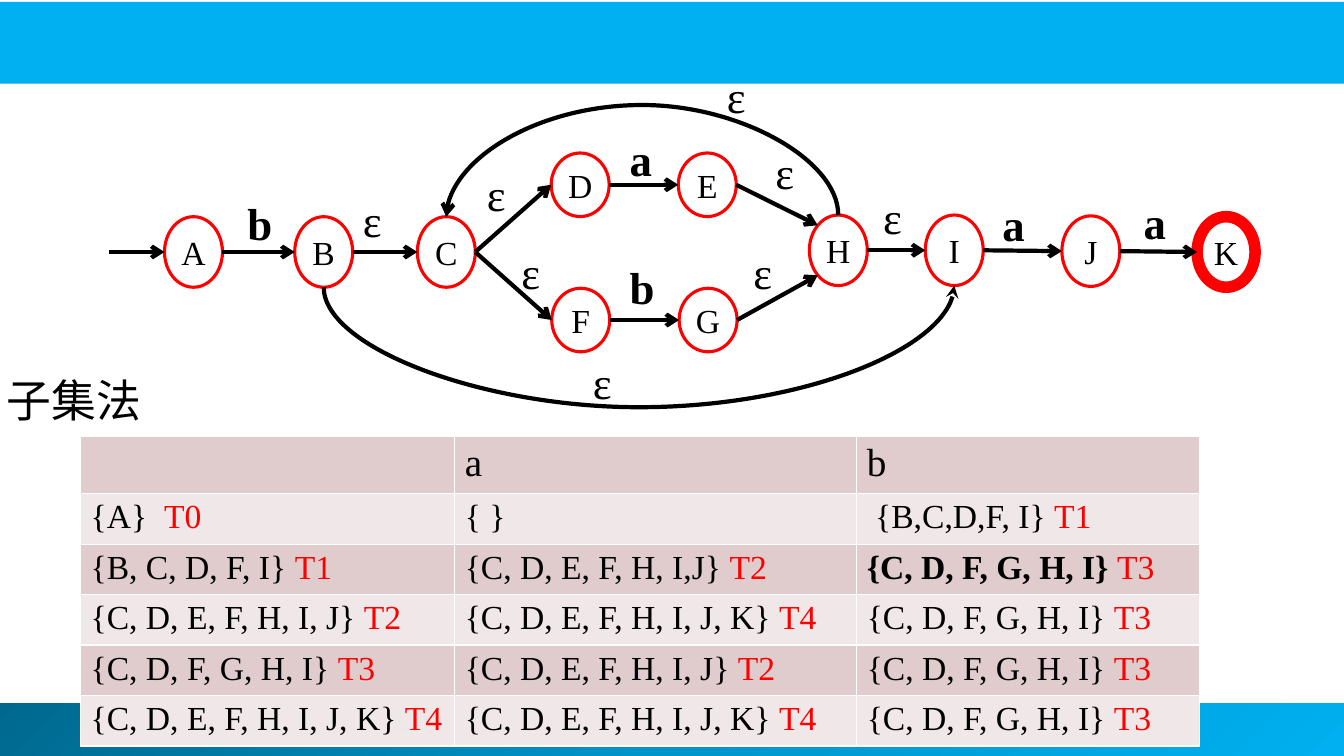
from copy import deepcopy

from lxml import etree
from pptx import Presentation
from pptx.dml.color import RGBColor
from pptx.enum.shapes import MSO_CONNECTOR as Connector, MSO_SHAPE as Shape
from pptx.enum.text import MSO_ANCHOR as Anchor, PP_ALIGN as Align
from pptx.oxml.ns import qn
from pptx.util import Pt

SERIF = "Times New Roman"
BLACK, RED, WHITE, SKY = "000000", "FF0000", "FFFFFF", "00B0F0"
FOOTER_STOPS = [(0, "00688E"), (0.5, "0094CA"), (1, SKY)]
BANDS = ["E0CCCD", "F0E7E8"]

# state: centre x, centre y, height
STATE_WIDTH = 41.4
STATES = {
    "A": (138.2, 180, 50.4), "B": (231.2, 180, 50.4), "C": (318.8, 180, 50.4),
    "D": (414.4, 132, 45.4), "E": (505.2, 132, 45.4),
    "F": (414.8, 228.6, 45.4), "G": (505.8, 228.6, 45.4),
    "H": (598.8, 178.8, 50.4), "I": (681.6, 178.8, 50.4),
    "J": (779.2, 179.4, 50.4), "K": (875.8, 180, 50.4),
}
FINAL = "K"

# from state, to state, side of arrival
EDGES = [
    ("A", "B", "left"), ("B", "C", "left"), ("C", "D", "left"), ("C", "F", "left"),
    ("D", "E", "left"), ("F", "G", "left"), ("E", "H", "top left"),
    ("G", "H", "bottom left"), ("H", "I", "left"), ("I", "J", "left"), ("J", "K", "left"),
]
# from state, to state, side, bulge, rotation, arrowhead
ARCS = [
    ("H", "C", "top", 79.2, 270, "arrow"),
    ("B", "I", "bottom", 86.4, 90, "stealth"),
]
# symbol, centre x, top
LABELS = [
    ("b", 184.6, 136), ("ε", 266, 134), ("ε", 354.6, 115.2), ("ε", 379.2, 171.4),
    ("a", 457.6, 90.8), ("b", 457.6, 182.2), ("ε", 560.6, 100), ("ε", 544.8, 171.4),
    ("ε", 637.6, 131.8), ("a", 724, 136.8), ("a", 824.8, 135.4),
    ("ε", 526, 45.4), ("ε", 430.2, 249.8),
]
METHOD = "子集法"

HEADER = ("", "a", "b")
SUBSETS = [
    ("{A}  T0", "{ }", " {B,C,D,F, I} T1"),
    ("{B, C, D, F, I} T1", "{C, D, E, F, H, I,J} T2", "{C, D, F, G, H, I} T3"),
    ("{C, D, E, F, H, I, J} T2", "{C, D, E, F, H, I, J, K} T4", "{C, D, F, G, H, I} T3"),
    ("{C, D, F, G, H, I} T3", "{C, D, E, F, H, I, J} T2", "{C, D, F, G, H, I} T3"),
    ("{C, D, E, F, H, I, J, K} T4", "{C, D, E, F, H, I, J, K} T4", "{C, D, F, G, H, I} T3"),
]
BOLD_CELL = (2, 2)
COLUMN_WIDTHS = [267.2, 287.2, 244.8]
ROW_HEIGHTS = [36.6] + [32.4] * 4 + [32.8]

SIDES = {
    "left": (-1, 0), "right": (1, 0), "top": (0, -1), "bottom": (0, 1),
    "top left": (-0.71, -0.71), "bottom left": (-0.71, 0.71),
}


def color(hex_code):
    return RGBColor.from_string(hex_code)


def style(run, size, hue=BLACK, bold=False, font=SERIF):
    run.font.size, run.font.bold, run.font.name = Pt(size), bold, font
    run.font.color.rgb = color(hue)


def add_preset(preset, left, top, width, height):
    shape = slide.shapes.add_shape(preset, Pt(left), Pt(top), Pt(width), Pt(height))
    shape.shadow.inherit = False
    return shape


def add_text(words, left, top, width, size, bold=False, font=SERIF, align=Align.LEFT):
    box = slide.shapes.add_textbox(Pt(left), Pt(top), Pt(width), Pt(46))
    box.text_frame.text = words
    box.text_frame.word_wrap = False
    line = box.text_frame.paragraphs[0]
    line.alignment = align
    style(line.runs[0], size, bold=bold, font=font)
    return line.runs[0]


def touch(state, side):
    """Point on the rim of a state."""
    x, y, height = STATES[state]
    across, down = SIDES[side]
    return x + across * STATE_WIDTH / 2, y + down * height / 2


def add_arrow(start, end, head="arrow", kind=Connector.STRAIGHT):
    arrow = slide.shapes.add_connector(kind, *(Pt(v) for v in start + end))
    arrow.line.width = Pt(3)
    arrow.line.color.rgb = color(BLACK)
    tail = etree.SubElement(arrow.line._get_or_add_ln(), qn("a:tailEnd"))
    tail.set("type", head)
    etree.SubElement(arrow._element.spPr, qn("a:effectLst"))
    return arrow


def add_arc(start, end, bulge, rotation, head):
    """Curved connector turned on its side, so that it bows up or down."""
    (x1, y1), (x2, y2) = start, end
    width, height = abs(y2 - y1), abs(x2 - x1)
    arc = add_arrow(start, end, head, Connector.CURVE)
    arc.left, arc.top = Pt((x1 + x2 - width) / 2), Pt((y1 + y2 - height) / 2)
    arc.width, arc.height = Pt(width), Pt(height)
    properties = arc._element.spPr
    frame = properties.find(qn("a:xfrm"))
    for key, value in (("rot", rotation * 60000), ("flipH", 1), ("flipV", 1)):
        frame.set(key, str(value))
    guides = properties.find(qn("a:prstGeom")).find(qn("a:avLst"))
    guide = etree.SubElement(guides, qn("a:gd"))
    guide.set("name", "adj1")
    guide.set("fmla", f"val {round(-bulge / width * 100000)}")


def add_borders(cell):
    for side in ("lnL", "lnR", "lnT", "lnB"):
        border = etree.SubElement(cell._tc.get_or_add_tcPr(), qn(f"a:{side}"), w=str(Pt(1)))
        paint = etree.SubElement(border, qn("a:solidFill"))
        etree.SubElement(paint, qn("a:srgbClr"), val=WHITE)


def add_subset_table():
    table = slide.shapes.add_table(
        len(ROW_HEIGHTS), len(COLUMN_WIDTHS), Pt(57.6), Pt(311.8),
        Pt(sum(COLUMN_WIDTHS)), Pt(sum(ROW_HEIGHTS))).table
    table.first_row = table.horz_banding = False
    for column, width in zip(table.columns, COLUMN_WIDTHS):
        column.width = Pt(width)
    for r, (height, entries) in enumerate(zip(ROW_HEIGHTS, [HEADER] + SUBSETS)):
        table.rows[r].height = Pt(height)
        for c, entry in enumerate(entries):
            cell = table.cell(r, c)
            add_borders(cell)
            cell.fill.solid()
            cell.fill.fore_color.rgb = color(BANDS[r % 2])
            members, mark, number = entry.partition("T")
            for words, hue in ((members, BLACK), (mark + number, RED)):
                if words:
                    run = cell.text_frame.paragraphs[0].add_run()
                    run.text = words
                    style(run, 24 if r else 28, hue, (r, c) == BOLD_CELL and hue == BLACK)


deck = Presentation()
deck.slide_width, deck.slide_height = Pt(960), Pt(540)
slide = deck.slides.add_slide(deck.slide_layouts[6])

footer = add_preset(Shape.RECTANGLE, -3.6, 502.4, 964, 37.6)
footer.line.fill.background()
footer.fill.gradient()
footer.fill.gradient_angle = 315
stop_list = footer._element.spPr.find(qn("a:gradFill")).find(qn("a:gsLst"))
stop_list.insert(1, deepcopy(stop_list[0]))
for stop, (position, hue) in zip(footer.fill.gradient_stops, FOOTER_STOPS):
    stop.position, stop.color.rgb = position, color(hue)

banner = add_preset(Shape.RECTANGLE, -1.4, 1.4, 962, 58.4)
banner.line.fill.background()
banner.fill.solid()
banner.fill.fore_color.rgb = color(SKY)

for name, (x, y, height) in STATES.items():
    state = add_preset(Shape.OVAL, x - STATE_WIDTH / 2, y - height / 2, STATE_WIDTH, height)
    state.fill.background()
    state.line.color.rgb = color(RED)
    state.line.width = Pt(8.25 if name == FINAL else 2.25)
    state.text_frame.text = name
    state.text_frame.word_wrap = False
    state.text_frame.vertical_anchor = Anchor.MIDDLE
    state.text_frame.paragraphs[0].alignment = Align.CENTER
    style(state.text_frame.paragraphs[0].runs[0], 24)

add_arrow((77.8, 180), touch("A", "left"))
for source, target, side in EDGES:
    add_arrow(touch(source, "right"), touch(target, side))
for source, target, side, *bow in ARCS:
    add_arc(touch(source, side), touch(target, side), *bow)
for symbol, x, top in LABELS:
    add_text(symbol, x - 15, top, 30, 32, bold=symbol != "ε", align=Align.CENTER)

method = add_text(METHOD, -2.2, 262.8, 111.6, 32, font="Noto Sans")
etree.SubElement(method.font._element if hasattr(method.font, "_element") else method._r.rPr,
                 qn("a:ea"), typeface="Noto Sans")
add_subset_table()

deck.save("out.pptx")
